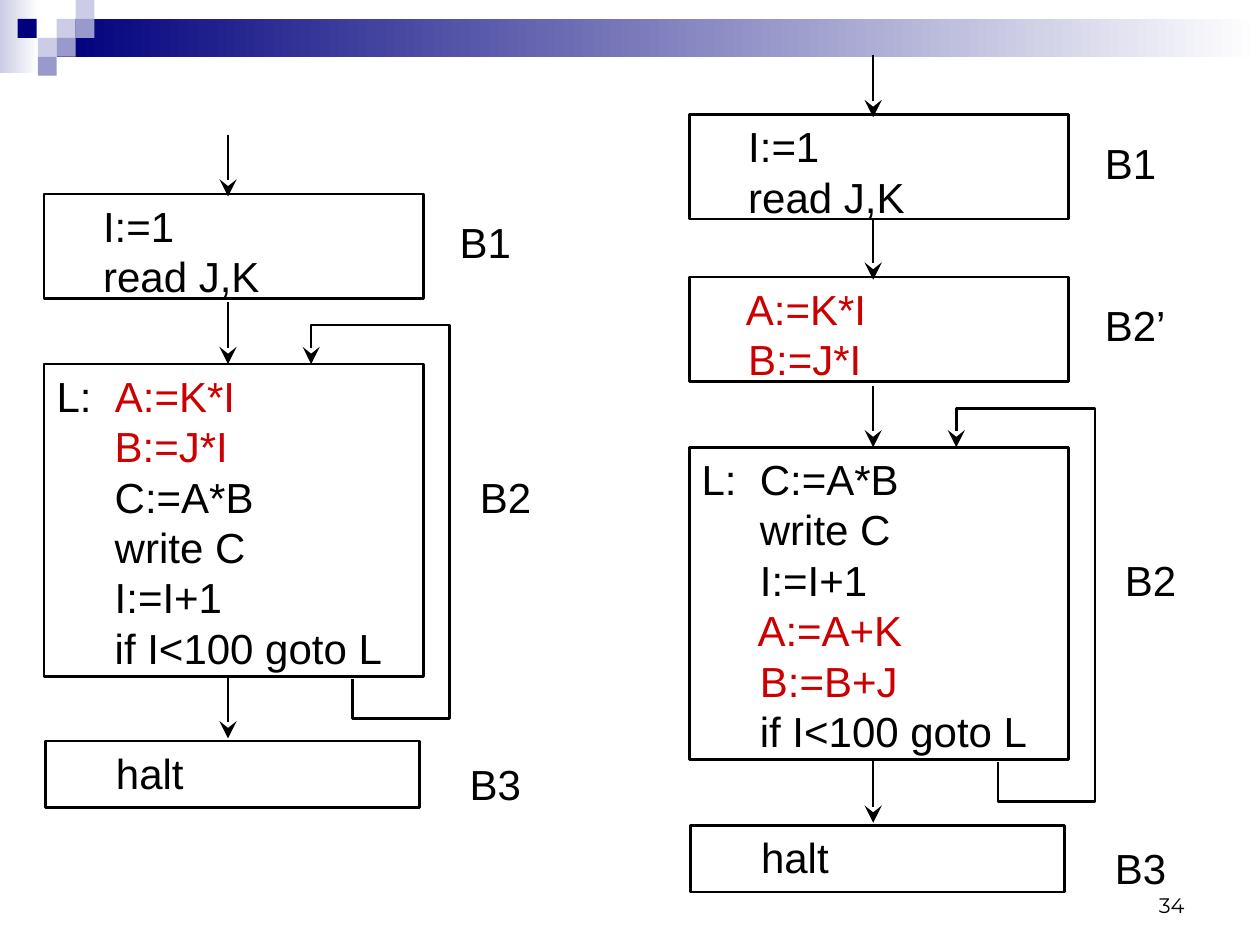
"""Build a slide showing a flow graph before and after strength reduction."""
import dataclasses
import typing

import lxml.etree
import pptx
import pptx.dml.color
import pptx.enum.shapes
import pptx.enum.text
import pptx.oxml.ns
import pptx.util

RGBColor = pptx.dml.color.RGBColor
BLACK = RGBColor(0x00, 0x00, 0x00)
RED = RGBColor(0xCC, 0x00, 0x00)
WHITE = RGBColor(0xFF, 0xFF, 0xFF)
NAVY = RGBColor(0x00, 0x00, 0x7D)
LAVENDER = RGBColor(0x99, 0x99, 0xCC)
PALE = RGBColor(0xCC, 0xCC, 0xE6)

EMU_PER_PX = 9144
RECTANGLE = pptx.enum.shapes.MSO_SHAPE.RECTANGLE
ARROW_X = 146
ARROW_LENGTH = 49
LOOP = ((245, 250), (245, 281), (322, 281), (322, -31), (212, -31), (212, 0))


class Span(typing.NamedTuple):
    text: str
    color: RGBColor = BLACK


class Kind(typing.NamedTuple):
    width: int
    height: int
    label_x: int
    label_y: int
    arrow_y: int
    loops: bool = False


Line = tuple[Span, ...]

SHORT = Kind(301, 83, 320, 13, -47)
BODY = Kind(301, 248, 336, 80, -49, True)
END = Kind(297, 53, 327, 9, -51)


@dataclasses.dataclass(frozen=True)
class Block:
    kind: Kind
    left: int
    top: int
    label: str
    lines: tuple[Line, ...]


ENTRY_CODE = ((Span("    I:=1"),), (Span("    read J,K"),))
HALT_CODE = ((Span("     halt"),),)
JUMP = (Span("     if I<100 goto L"),)

BLOCKS = (
    Block(SHORT, 35, 154, "B1", ENTRY_CODE),
    Block(BODY, 35, 289, "B2", (
        (Span("L:  "), Span("A:=K*I", RED)),
        (Span("     B:=J*I", RED),),
        (Span("     C:=A*B"),),
        (Span("     write C"),),
        (Span("     I:=I+1"),),
        JUMP,
    )),
    Block(END, 36, 588, "B3", HALT_CODE),
    Block(SHORT, 547, 91, "B1", ENTRY_CODE),
    Block(SHORT, 547, 220, "B2’", (
        (Span("    A:=K*I", RED),),
        (Span("    B:=J*I", RED),),
    )),
    Block(BODY, 547, 355, "B2", (
        (Span("L:  C:=A*B"),),
        (Span("     write C"),),
        (Span("     I:=I+1"),),
        (Span("     A:=A+K", RED),),
        (Span("     B:=B+J", RED),),
        JUMP,
    )),
    Block(END, 548, 655, "B3", HALT_CODE),
)

BANDS = ((0, 0, 31, 58, PALE, WHITE), (45, 15, 955, 30, NAVY, WHITE))
TILES = (
    (45, 15, PALE), (60, 0, PALE), (60, 15, LAVENDER), (30, 30, PALE),
    (14, 15, NAVY), (45, 30, LAVENDER), (30, 45, LAVENDER),
)


def px(*lengths: int) -> list[pptx.util.Emu]:
    """Turn pixel lengths into EMU."""
    return [pptx.util.Emu(length * EMU_PER_PX) for length in lengths]


def add_rectangle(page, left: int, top: int, width: int, height: int):
    """Add a rectangle without a shadow."""
    box = page.shapes.add_shape(RECTANGLE, *px(left, top, width, height))
    box.shadow.inherit = False
    return box


def set_outline(shape) -> None:
    """Give a shape the black diagram line."""
    shape.line.color.rgb = BLACK
    shape.line.width = pptx.util.Pt(1.5)


def add_arrowhead(shape) -> None:
    """Put a large stealth arrowhead at the end of an outlined shape."""
    outline = shape.element.spPr.find(pptx.oxml.ns.qn("a:ln"))
    lxml.etree.SubElement(
        outline, pptx.oxml.ns.qn("a:tailEnd"), type="stealth", w="lg", len="lg")


def write(box, lines: tuple[Line, ...], size: int = 24, font: str = "Arial",
          align=pptx.enum.text.PP_ALIGN.LEFT,
          anchor=pptx.enum.text.MSO_ANCHOR.TOP) -> None:
    """Write lines of coloured spans into a box."""
    frame = box.text_frame
    frame.word_wrap = True
    frame.vertical_anchor = anchor
    for index, line in enumerate(lines):
        para = frame.add_paragraph() if index else frame.paragraphs[0]
        para.alignment = align
        for text, color in line:
            span = para.add_run()
            span.text = text
            span.font.name = font
            span.font.size = pptx.util.Pt(size)
            span.font.color.rgb = color


def draw_header(page) -> None:
    """Draw the gradient bands and the tiles of the header."""
    for left, top, width, height, start, end in BANDS:
        band = add_rectangle(page, left, top, width, height)
        band.line.fill.background()
        band.fill.gradient()
        band.fill.gradient_angle = 0
        for stop, color in zip(band.fill.gradient_stops, (start, end)):
            stop.color.rgb = color
    for left, top, color in TILES:
        tile = add_rectangle(page, left, top, 15, 15)
        tile.line.fill.background()
        tile.fill.solid()
        tile.fill.fore_color.rgb = color


def draw_arrow(page, x: int, top: int) -> None:
    """Draw a downward arrow."""
    arrow = page.shapes.add_connector(
        pptx.enum.shapes.MSO_CONNECTOR.STRAIGHT, *px(x, top, x, top + ARROW_LENGTH))
    set_outline(arrow)
    add_arrowhead(arrow)
    lxml.etree.SubElement(arrow.element.spPr, pptx.oxml.ns.qn("a:effectLst"))


def draw_loop(page, left: int, top: int) -> None:
    """Draw the back edge of a loop body."""
    points = [(left + x, top + y) for x, y in LOOP]
    builder = page.shapes.build_freeform(*points[0], scale=EMU_PER_PX)
    builder.add_line_segments(points[1:], close=False)
    loop = builder.convert_to_shape()
    loop.shadow.inherit = False
    loop.fill.background()
    set_outline(loop)
    add_arrowhead(loop)


def draw_block(page, block: Block) -> None:
    """Draw a basic block with its label, incoming arrow and back edge."""
    kind = block.kind
    box = add_rectangle(page, block.left, block.top, kind.width, kind.height)
    box.fill.background()
    set_outline(box)
    write(box, block.lines)
    label = page.shapes.add_textbox(
        *px(block.left + kind.label_x, block.top + kind.label_y, 74, 50))
    write(label, ((Span(block.label),),))
    draw_arrow(page, 35 + ARROW_X + (512 if block.left > 500 else 0),
               block.top + kind.arrow_y)
    if kind.loops:
        draw_loop(page, block.left, block.top)


def main() -> None:
    """Build and save the deck."""
    deck = pptx.Presentation()
    deck.slide_width, deck.slide_height = px(1000, 750)
    page = deck.slides.add_slide(deck.slide_layouts[6])
    draw_header(page)
    for block in BLOCKS:
        draw_block(page, block)
    number = page.shapes.add_textbox(*px(717, 683, 233, 50))
    write(number, ((Span("34"),),), 12, "Montserrat",
          pptx.enum.text.PP_ALIGN.RIGHT, pptx.enum.text.MSO_ANCHOR.BOTTOM)
    deck.save("out.pptx")


if __name__ == "__main__":
    main()
